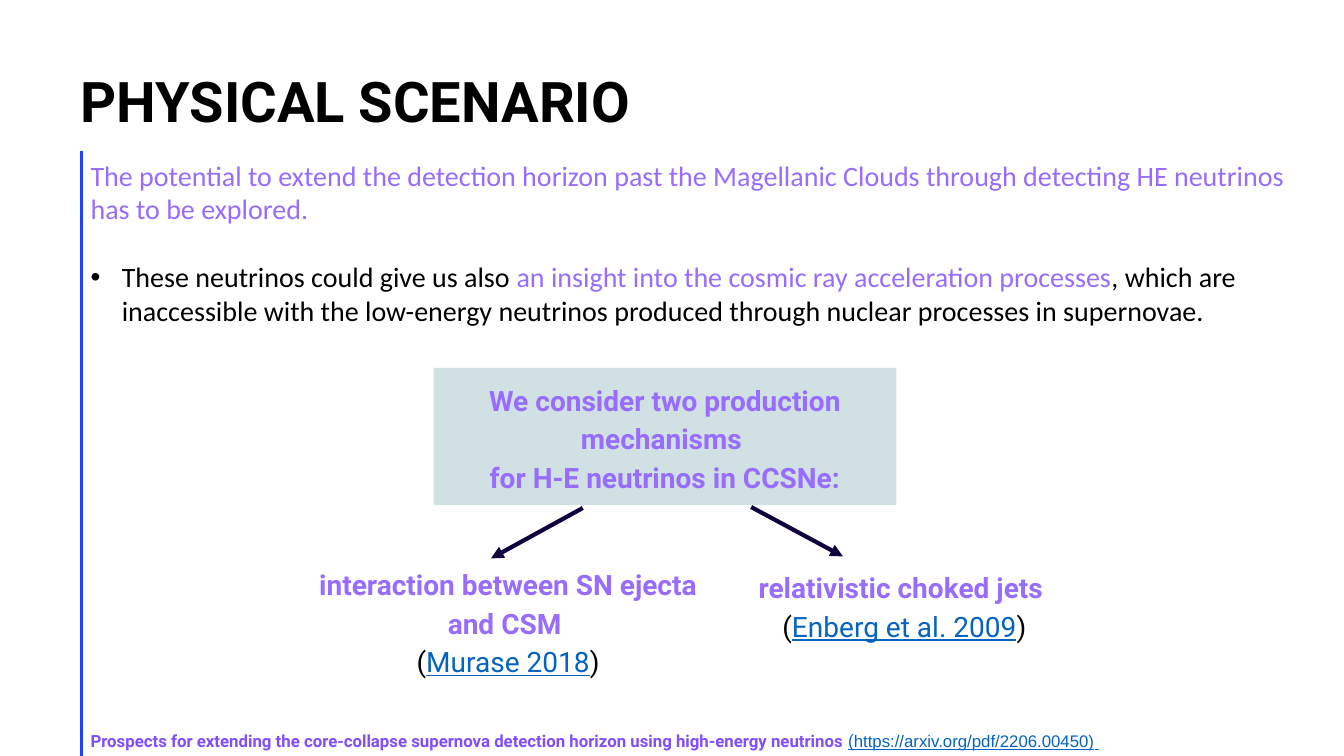
from dataclasses import dataclass
from typing import Optional

from lxml import etree
from pptx import Presentation
from pptx.dml.color import RGBColor
from pptx.enum.shapes import MSO_CONNECTOR, MSO_SHAPE
from pptx.enum.text import MSO_ANCHOR, MSO_AUTO_SIZE, PP_ALIGN
from pptx.oxml.ns import qn
from pptx.util import Inches, Pt

STRAIGHT = MSO_CONNECTOR.STRAIGHT
RECTANGLE = MSO_SHAPE.RECTANGLE
MIDDLE, TOP = MSO_ANCHOR.MIDDLE, MSO_ANCHOR.TOP
LEFT, CENTER = PP_ALIGN.LEFT, PP_ALIGN.CENTER
FIXED_SIZE = MSO_AUTO_SIZE.NONE
TITLE_ONLY = 5

SLIDE_WIDTH, SLIDE_HEIGHT = Inches(13.33), Inches(7.5)
COLUMN = SLIDE_WIDTH / 133.3
ROW = SLIDE_HEIGHT / 75
MARGIN = 8


@dataclass(frozen=True)
class Theme:
    background: str = "FFFFFF"
    text: str = "000000"
    accent: str = "976CFF"
    source: str = "814DFF"
    link: str = "0563C1"
    panel: str = "D0E0E3"
    arrow: str = "10013F"
    rail: str = "2240FF"
    heading_font: str = "Roboto"
    body_font: str = "Calibri"
    link_font: str = "Arial"
    title_size: float = 40
    body_size: float = 20
    source_size: float = 12
    paragraph_gap: float = 24.4
    arrow_width: float = 3
    rail_width: float = 2


THEME = Theme()


@dataclass(frozen=True)
class Run:
    text: str
    color: str = THEME.text
    font: str = THEME.heading_font
    size: float = THEME.body_size
    bold: bool = False
    underline: bool = False


@dataclass(frozen=True)
class Paragraph:
    runs: tuple[Run, ...]
    align: PP_ALIGN = LEFT
    line_spacing: Optional[float] = None
    space_before: float = 0
    bullet: bool = False


@dataclass(frozen=True)
class Area:
    left: float
    top: float
    width: float
    height: float

    def lengths(self) -> tuple[int, int, int, int]:
        return (round(self.left * COLUMN), round(self.top * ROW),
                round(self.width * COLUMN), round(self.height * ROW))


@dataclass(frozen=True)
class Block:
    area: Area
    paragraphs: tuple[Paragraph, ...]
    fill: Optional[str] = None
    inset_x: float = 1
    inset_y: float = 1


@dataclass(frozen=True)
class Line:
    start: tuple[float, float]
    end: tuple[float, float]
    color: str
    width: float
    arrowhead: bool = False


def centered(*runs: Run) -> Paragraph:
    return Paragraph(runs, align=CENTER, line_spacing=1.15)


def strong(text: str) -> Paragraph:
    return centered(Run(text, THEME.accent, bold=True))


def citation(name: str) -> Paragraph:
    return centered(Run("("), Run(name, THEME.link, underline=True), Run(")"))


def body(text: str, color: str = THEME.text) -> Run:
    return Run(text, color, THEME.body_font)


def source_link(text: str, font: str) -> Run:
    return Run(text, THEME.link, font, THEME.source_size, underline=True)


TITLE = Block(
    Area(MARGIN, -2.9, 86.2, 26.7),
    (Paragraph((Run("PHYSICAL SCENARIO", size=THEME.title_size, bold=True),),
               line_spacing=Pt(THEME.title_size)),),
    inset_x=0, inset_y=0)

BLOCKS = (
    Block(Area(MARGIN, 72, 110.8, 3), (Paragraph((
        Run("Prospects for extending the core-collapse supernova detection horizon "
            "using high-energy neutrinos ",
            THEME.source, size=THEME.source_size, bold=True),
        source_link("(", THEME.heading_font),
        source_link("https://arxiv.org/pdf/2206.00450)", THEME.link_font),
        source_link(" ", THEME.heading_font))),), inset_y=0.5),
    Block(Area(MARGIN, 15.2, 122.2, 23.9), (
        Paragraph((body("The potential to extend the detection horizon past the Magellanic "
                        "Clouds through detecting HE neutrinos has to be explored.",
                        THEME.accent),)),
        Paragraph((body("These neutrinos could give us also "),
                   body("an insight into the cosmic ray acceleration processes", THEME.accent),
                   body(", which are inaccessible with the low-energy neutrinos produced "
                        "through nuclear processes in supernovae.")),
                  space_before=THEME.paragraph_gap, bullet=True)), inset_y=0.5),
    Block(Area(43, 36.5, 45.9, 13.6), (
        strong("We consider two production mechanisms "),
        strong("for H-E neutrinos in CCSNe:")), fill=THEME.panel),
    Block(Area(29.2, 54.8, 42.4, 13.6), (
        strong("interaction between SN ejecta and CSM "), citation("Murase 2018"))),
    Block(Area(73.9, 55.1, 31.6, 9.8), (
        strong("relativistic choked jets "), citation("Enberg et al. 2009"))),
)

LINES = (
    Line((8.1, 15), (8.1, 75), THEME.rail, THEME.rail_width),
    Line((57.8, 50.4), (48.7, 55.4), THEME.arrow, THEME.arrow_width, True),
    Line((74.5, 50.3), (83.6, 55.2), THEME.arrow, THEME.arrow_width, True),
)


def write_text(shape, block: Block, anchor: MSO_ANCHOR = TOP) -> None:
    frame = shape.text_frame
    frame.word_wrap = True
    frame.auto_size = FIXED_SIZE
    frame.vertical_anchor = anchor
    frame.margin_left = frame.margin_right = round(block.inset_x * COLUMN)
    frame.margin_top = frame.margin_bottom = round(block.inset_y * ROW)
    for index, content in enumerate(block.paragraphs):
        paragraph = frame.add_paragraph() if index else frame.paragraphs[0]
        paragraph.alignment = content.align
        paragraph.space_before = Pt(content.space_before)
        if content.line_spacing is not None:
            paragraph.line_spacing = content.line_spacing
        if content.bullet:
            properties = paragraph._p.get_or_add_pPr()
            indent = round(3.1 * COLUMN)
            properties.set("marL", str(indent))
            properties.set("indent", str(-indent))
            etree.SubElement(properties, qn("a:buFont"), typeface=THEME.link_font)
            etree.SubElement(properties, qn("a:buChar"), char="•")
        for part in content.runs:
            run = paragraph.add_run()
            run.text = part.text
            run.font.name = part.font
            run.font.size = Pt(part.size)
            run.font.bold = part.bold
            run.font.underline = part.underline
            run.font.color.rgb = RGBColor.from_string(part.color)


def draw_title(slide, block: Block) -> None:
    title = slide.shapes.title
    title.left, title.top, title.width, title.height = block.area.lengths()
    write_text(title, block, MIDDLE)


def draw_block(slide, block: Block) -> None:
    if block.fill:
        shape = slide.shapes.add_shape(RECTANGLE, *block.area.lengths())
        shape.shadow.inherit = False
        shape.fill.solid()
        shape.fill.fore_color.rgb = RGBColor.from_string(block.fill)
        shape.line.fill.background()
    else:
        shape = slide.shapes.add_textbox(*block.area.lengths())
    write_text(shape, block)


def draw_line(slide, line: Line) -> None:
    ends = [round(share * unit) for point in (line.start, line.end)
            for share, unit in zip(point, (COLUMN, ROW))]
    connector = slide.shapes.add_connector(STRAIGHT, *ends)
    connector.line.color.rgb = RGBColor.from_string(line.color)
    connector.line.width = Pt(line.width)
    if line.arrowhead:
        etree.SubElement(connector.line._get_or_add_ln(), qn("a:tailEnd"), type="triangle")
    etree.SubElement(connector._element.spPr, qn("a:effectLst"))


def main() -> None:
    presentation = Presentation()
    presentation.slide_width, presentation.slide_height = SLIDE_WIDTH, SLIDE_HEIGHT
    slide = presentation.slides.add_slide(presentation.slide_layouts[TITLE_ONLY])
    slide.background.fill.solid()
    slide.background.fill.fore_color.rgb = RGBColor.from_string(THEME.background)
    draw_title(slide, TITLE)
    for block in BLOCKS:
        draw_block(slide, block)
    for line in LINES:
        draw_line(slide, line)
    presentation.save("out.pptx")


if __name__ == "__main__":
    main()
